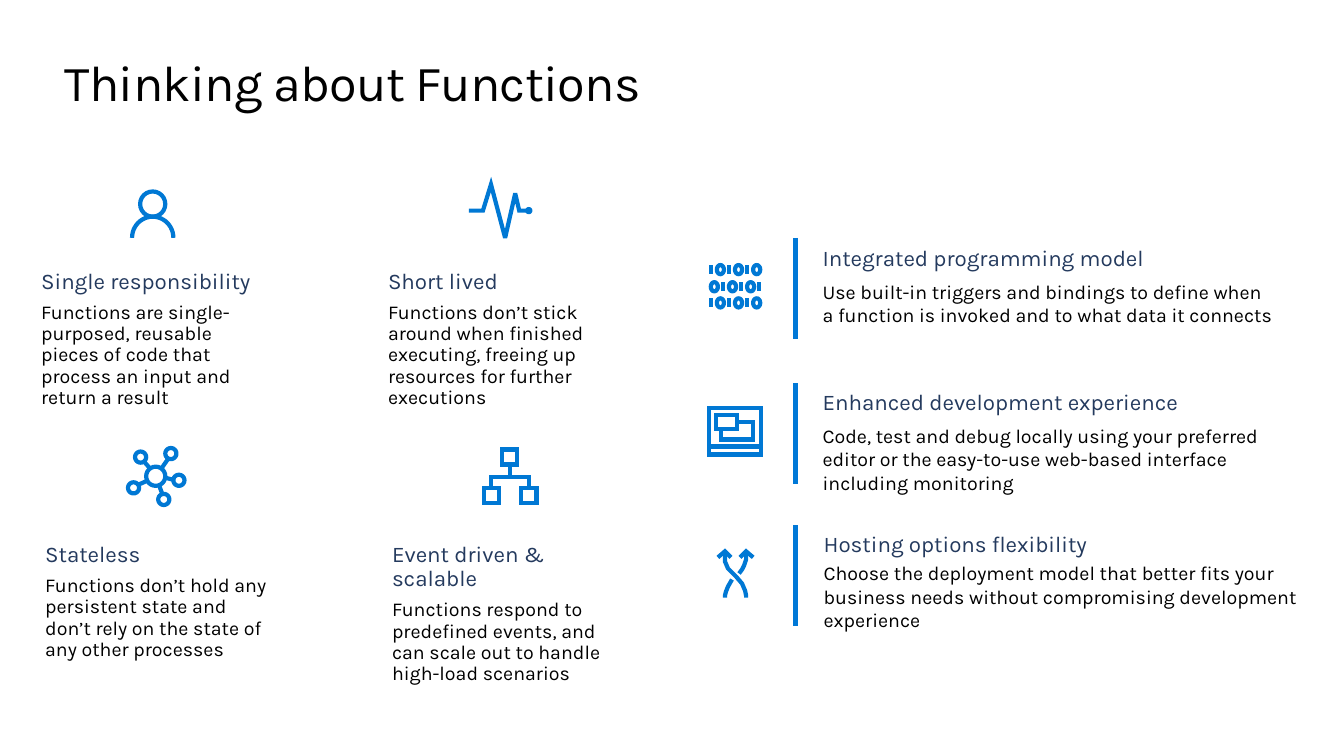
from math import cos, radians, sin

from lxml import etree
from pptx import Presentation
from pptx.dml.color import RGBColor
from pptx.enum.shapes import MSO_CONNECTOR
from pptx.enum.text import MSO_ANCHOR
from pptx.oxml.ns import qn
from pptx.util import Pt

PX = 9144  # 100 px to the inch
STRAIGHT = MSO_CONNECTOR.STRAIGHT
BOTTOM = MSO_ANCHOR.BOTTOM
FONT = "Karla"
BLACK, NAVY, BLUE, RULE_BLUE = "000000", "243A5E", "0078D4", "0078D7"
colour = RGBColor.from_string

deck = Presentation()
deck.slide_width, deck.slide_height = 1333 * PX, 750 * PX
page = deck.slides.add_slide(deck.slide_layouts[6])


def arc(x, y, rx, ry, start=0, end=360):
    """Points along an elliptical arc; angles run clockwise from the right."""
    angles = [radians(start + (end - start) * i / 24) for i in range(25)]
    return [(round(x + rx * cos(a), 2), round(y + ry * sin(a), 2)) for a in angles]


def draw_icon(strokes):
    """Outline icon; a stroke that ends where it began is closed."""
    builder = None
    for stroke in strokes:
        points = [(x * PX, y * PX) for x, y in stroke]
        if builder is None:
            builder = page.shapes.build_freeform(*points[0], scale=1.0)
        else:
            builder.move_to(*points[0])
        closed = points[0] == points[-1]
        builder.add_line_segments(points[1:-1] if closed else points[1:], close=closed)
    icon = builder.convert_to_shape()
    icon.shadow.inherit = False
    icon.fill.background()
    icon.line.color.rgb = colour(BLUE)
    icon.line.width = Pt(3)
    etree.SubElement(icon.line._get_or_add_ln(), qn("a:miter"), lim="800000")


# Title
box = page.shapes.add_textbox(64 * PX, 50 * PX, 1205 * PX, 61 * PX)
frame = box.text_frame
frame.word_wrap = True
frame.vertical_anchor = BOTTOM
frame.margin_left = frame.margin_right = frame.margin_top = frame.margin_bottom = 0
span = frame.paragraphs[0].add_run()
span.text = "Thinking about Functions"
span.font.name, span.font.size = FONT, Pt(36)
span.font.color.rgb = colour(BLACK)
span._r.get_or_add_rPr().set("spc", "-50")

# Text blocks: place, heading spacing, gap below heading, body spacing, heading, body lines
blocks = [
    (31, 263, 240, 149, 0.9, 6, 0.9, "Single responsibility",
     ["Functions are single-purposed, reusable pieces of code that process an input "
      "and return a result"]),
    (375, 263, 262, 149, 0.9, 6, 0.9, "Short lived",
     ["Functions don’t stick around when finished executing, freeing up resources "
      "for further executions"]),
    (35, 534, 240, 128, 0.9, 6, 0.9, "Stateless",
     ["Functions don’t hold any persistent state and don’t rely on the state of any "
      "other processes"]),
    (379, 534, 254, 128, 0.9, 6, 0.9, "Event driven & scalable",
     ["Functions respond to predefined events, and can scale out to handle "
      "high-load scenarios"]),
    (806, 240, 471, 90, 0.9, 6, 1.0, "Integrated programming model",
     ["Use built-in triggers and bindings to define when",
      "a function is invoked and to what data it connects"]),
    (806, 383, 502, 113, 0.9, 6, 1.0, "Enhanced development experience",
     ["Code, test and debug locally using your preferred editor or the easy-to-use "
      "web-based interface including monitoring"]),
    (807, 521, 509, 112, 1.0, 3, 1.0, "Hosting options flexibility",
     ["Choose the deployment model that better fits your business needs without "
      "compromising development experience"]),
]
for left, top, width, height, head_spacing, gap, body_spacing, heading, body in blocks:
    box = page.shapes.add_textbox(left * PX, top * PX, width * PX, height * PX)
    frame = box.text_frame
    frame.word_wrap = True
    for para, lines, size, ink, spacing, after in (
        (frame.paragraphs[0], [heading], 16, NAVY, head_spacing, gap),
        (frame.add_paragraph(), body, 14, BLACK, body_spacing, 3),
    ):
        para.line_spacing = spacing
        para.space_after = Pt(after)
        for number, line in enumerate(lines):
            if number:
                para.add_line_break()
            span = para.add_run()
            span.text = line
            span.font.name, span.font.size = FONT, Pt(size)
            span.font.color.rgb = colour(ink)

# Person: head and shoulders
draw_icon([arc(151.5, 202.5, 12.5, 12.5), arc(151.5, 236, 20.5, 21, 180, 360)])

# Pulse line ending in a dot
draw_icon([
    [(465, 209), (479, 209), (487, 183), (501, 236), (511, 192), (515, 209), (523, 209)],
    arc(524.5, 209, 1.5, 1.5),
])

# Network: hub, five nodes and their links
nodes = [(169.5, 450), (139.5, 453.5), (132.5, 484), (162.5, 495.5), (177.5, 476.5)]
links = [
    [(167, 455), (160, 465)], [(149, 465), (143, 458)], [(137, 481), (146, 477)],
    [(161, 490), (158, 482)], [(164, 474), (172, 476)],
]
draw_icon([arc(154.5, 472.5, 9.5, 9.5)] + [arc(x, y, 5.5, 5.5) for x, y in nodes] + links)

# Hierarchy: three boxes joined by a bracket
squares = [
    [(x, y), (x + 15, y), (x + 15, y + 15), (x, y + 15), (x, y)]
    for x, y in ((498, 446), (480, 484), (517, 484))
]
draw_icon(squares + [
    [(506, 461), (506, 473)],
    [(525, 484), (525, 473), (487, 473), (487, 484)],
])

# Binary digits
digits = []
for row, (left, top, bits) in enumerate(
    ((705, 263, "101010"), (708, 280, "010101"), (705, 296, "101010"))
):
    for column, bit in enumerate(bits):
        x = left + 9 * column
        digits.append([(x, top), (x, top + 9)] if bit == "1"
                      else arc(x + 0.5, top + 4.5, 3.5, 4.5))
draw_icon(digits)

# Screen with two windows
draw_icon([
    [(703, 405), (755, 405), (755, 451), (703, 451), (703, 405)],
    [(710, 412), (731, 412), (731, 426), (710, 426), (710, 412)],
    [(715, 427), (715, 436), (747, 436), (747, 419), (731, 419)],
    [(703, 443), (755, 443)],
])

# Crossing arrows
draw_icon([
    [(740, 547), (740, 555), (738, 561), (736, 565), (733, 569)],
    [(726, 575), (722, 582), (720, 587), (719, 591), (719, 593)],
    [(719, 547), (719, 557), (722, 564), (726, 568), (730, 572),
     (736, 579), (739, 586), (740, 591), (740, 593)],
    [(725, 553), (719, 547), (712, 553)],
    [(747, 553), (740, 547), (734, 553)],
])

# Vertical rules on the right
for top in (236, 380, 521):
    rule = page.shapes.add_connector(STRAIGHT, 789 * PX, top * PX, 789 * PX, (top + 100) * PX)
    rule.line.color.rgb = colour(RULE_BLUE)
    rule.line.width = Pt(3)
    etree.SubElement(rule._element.spPr, qn("a:effectLst"))

deck.save("out.pptx")
